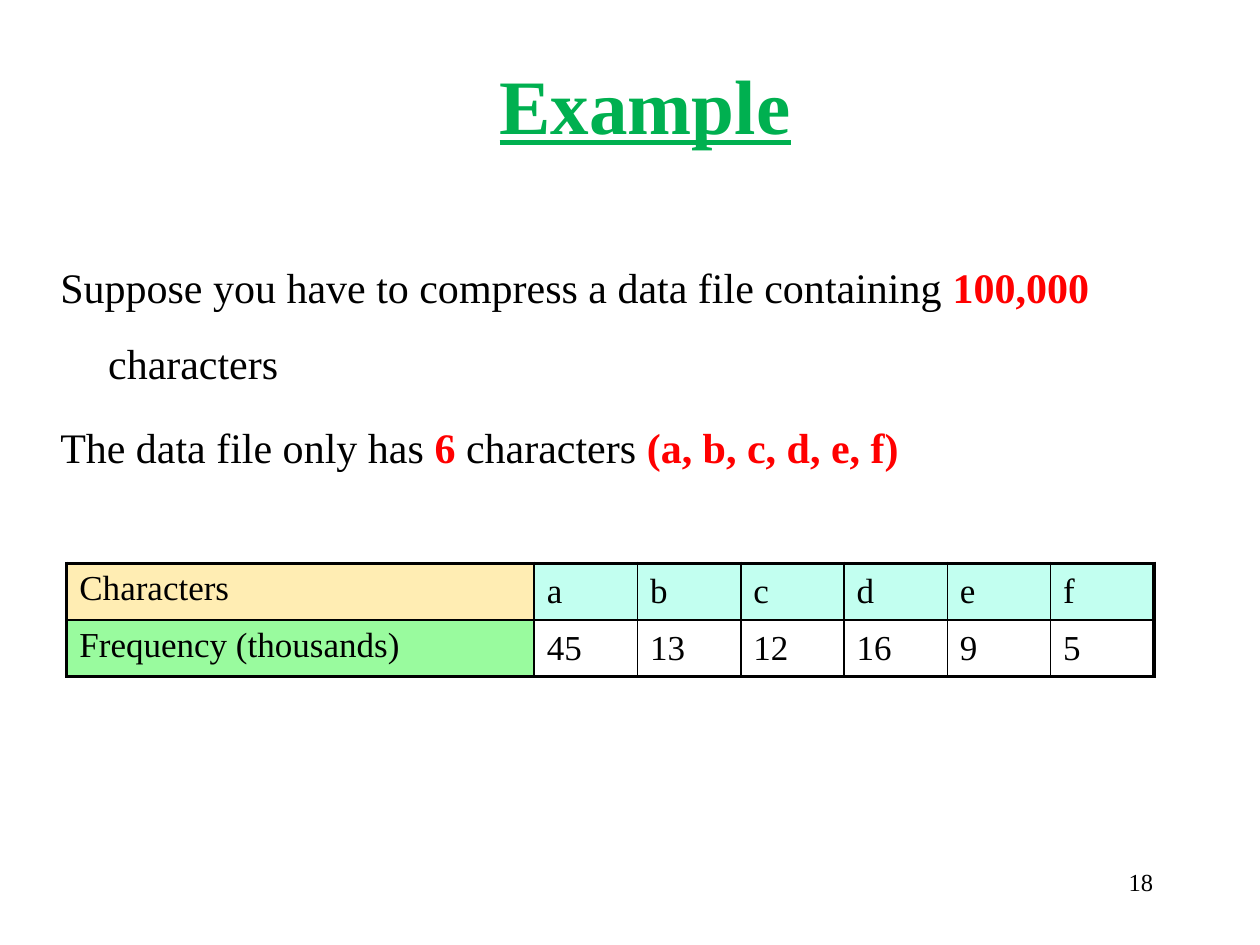
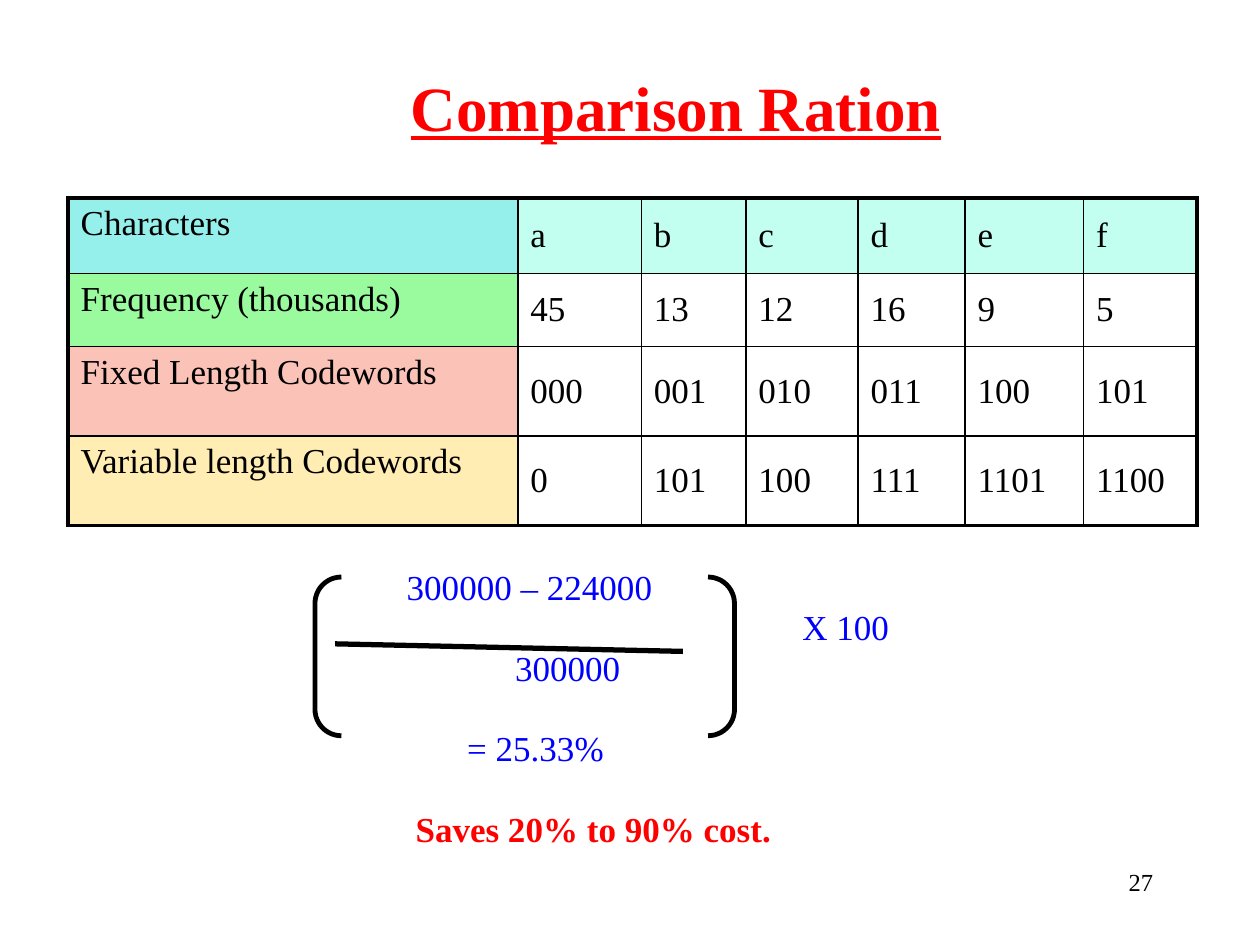
from lxml.etree import SubElement
from pptx import Presentation
from pptx.dml.color import RGBColor
from pptx.enum.shapes import MSO_CONNECTOR, MSO_SHAPE
from pptx.enum.text import MSO_ANCHOR, PP_ALIGN
from pptx.oxml.ns import qn
from pptx.util import Inches, Pt

FONT = "Times New Roman"
COLORS = {
    "black": "000000", "red": "FF0000", "green": "00B050", "blue": "0000FF",
    "aqua": "C2FFF0", "turquoise": "95EFEB", "mint": "99FB9E",
    "salmon": "FBC2B7", "cream": "FFEDB3",
}


def style_font(font, size, color, bold=False):
    font.name = FONT
    font.size = Pt(size)
    font.bold = bold
    font.color.rgb = RGBColor.from_string(COLORS[color])


def add_text(slide, position, text, size, color, bold=False, align=PP_ALIGN.LEFT):
    box = slide.shapes.add_textbox(*map(Inches, position))
    box.text_frame.word_wrap = True
    paragraph = box.text_frame.paragraphs[0]
    paragraph.text = text
    paragraph.alignment = align
    style_font(paragraph.font, size, color, bold)


presentation = Presentation()
presentation.slide_width = Inches(10)
presentation.slide_height = Inches(7.5)

frequency_rows = [
    ["Characters", "a", "b", "c", "d", "e", "f"],
    ["Frequency (thousands)", "45", "13", "12", "16", "9", "5"],
]
codeword_rows = [
    ["Fixed Length Codewords", "000", "001", "010", "011", "100", "101"],
    ["Variable length Codewords", "0", "101", "100", "111", "1101", "1100"],
]
slide_specs = [
    {
        "title": ("Example", 44, "green", (1.07, 0.08, 8.1, 1.48)),
        "number": "18",
        "table_at": (0.53, 4.47),
        "rows": frequency_rows,
        "widths": [3.71] + [0.82] * 6,
        "heights": [0.45, 0.45],
        "label_fills": ["cream", "mint"],
    },
    {
        "title": ("Comparison Ration", 36, "red", (0.7, 0.2, 9.33, 1.28)),
        "number": "27",
        "table_at": (0.54, 1.57),
        "rows": frequency_rows + codeword_rows,
        "widths": [3.57, 0.98, 0.83, 0.89, 0.85, 0.94, 0.9],
        "heights": [0.6, 0.58, 0.71, 0.71],
        "label_fills": ["turquoise", "mint", "salmon", "cream"],
    },
]

slides = []
for details in slide_specs:
    slide = presentation.slides.add_slide(presentation.slide_layouts[5])
    slides.append(slide)
    text, size, color, position = details["title"]
    title = slide.shapes.title
    title.left, title.top, title.width, title.height = map(Inches, position)
    title.text_frame.vertical_anchor = MSO_ANCHOR.MIDDLE
    paragraph = title.text_frame.paragraphs[0]
    paragraph.text = text
    paragraph.alignment = PP_ALIGN.CENTER
    style_font(paragraph.font, size, color, True)
    paragraph.font.underline = True
    add_text(slide, (7.17, 6.83, 2.08, 0.5), details["number"], 14, "black", align=PP_ALIGN.RIGHT)

    rows, widths, heights = details["rows"], details["widths"], details["heights"]
    frame = slide.shapes.add_table(
        len(rows), len(widths), *map(Inches, (*details["table_at"], sum(widths), sum(heights)))
    )
    table = frame.table
    table.first_row = False
    table.horz_banding = False
    for column, width in zip(table.columns, widths):
        column.width = Inches(width)
    last_row, last_column = len(rows) - 1, len(widths) - 1
    for row_index, values in enumerate(rows):
        table.rows[row_index].height = Inches(heights[row_index])
        for column_index, value in enumerate(values):
            cell = table.cell(row_index, column_index)
            cell.text = value
            style_font(cell.text_frame.paragraphs[0].font, 20, "black")
            cell.vertical_anchor = MSO_ANCHOR.MIDDLE if column_index else MSO_ANCHOR.TOP
            outer_edges = {
                "a:lnL": column_index == 0,
                "a:lnR": column_index == last_column,
                "a:lnT": row_index == 0,
                "a:lnB": row_index == last_row,
            }
            properties = cell._tc.get_or_add_tcPr()
            for edge, is_outer in outer_edges.items():
                line = SubElement(properties, qn(edge), w=str(Pt(2.25 if is_outer else 1)))
                line_fill = SubElement(line, qn("a:solidFill"))
                SubElement(line_fill, qn("a:srgbClr"), val=COLORS["black"])
            if column_index and row_index:
                cell.fill.background()
            else:
                fill = "aqua" if column_index else details["label_fills"][row_index]
                cell.fill.solid()
                cell.fill.fore_color.rgb = RGBColor.from_string(COLORS[fill])

example, comparison = slides

statements = [
    [("Suppose you have to compress a data file containing ", False),
     ("100,000", True), (" characters", False)],
    [("The data file only has ", False), ("6", True),
     (" characters ", False), ("(a, b, c, d, e, f)", True)],
]
body = example.shapes.add_textbox(Inches(0.38), Inches(1.83), Inches(9.48), Inches(2.3))
body.text_frame.word_wrap = True
for index, statement in enumerate(statements):
    paragraph = body.text_frame.add_paragraph() if index else body.text_frame.paragraphs[0]
    paragraph.line_spacing = 1.5
    if index:
        paragraph.space_before = Pt(4.8)
    indents = paragraph._p.get_or_add_pPr()
    indents.set("marL", str(Inches(0.38)))
    indents.set("indent", str(Inches(-0.38)))
    for text, highlighted in statement:
        run = paragraph.add_run()
        run.text = text
        style_font(run.font, 24, "red" if highlighted else "black", highlighted)

formula_lines = [
    (3.13, 0, "300000 – 224000", "blue", False),
    (6.27, 1, "X 100", "blue", False),
    (3.99, 2, "300000", "blue", False),
    (3.61, 4, "= 25.33%", "blue", False),
    (3.2, 6, "Saves 20% to 90% cost.", "red", True),
]
for left, step, text, color, bold in formula_lines:
    add_text(comparison, (left, 4.44 + 0.32 * step, 3.4, 0.41), text, 20, color, bold)

fraction_bar = comparison.shapes.add_connector(
    MSO_CONNECTOR.STRAIGHT, Inches(2.66), Inches(5.11), Inches(5.42), Inches(5.17)
)
SubElement(fraction_bar._element.spPr, qn("a:effectLst"))
brackets = comparison.shapes.add_shape(
    MSO_SHAPE.DOUBLE_BRACKET, Inches(2.5), Inches(4.58), Inches(3.33), Inches(1.26)
)
brackets.shadow.inherit = False
brackets.fill.background()
for shape, width in ((fraction_bar, 3), (brackets, 2.75)):
    shape.line.color.rgb = RGBColor.from_string(COLORS["black"])
    shape.line.width = Pt(width)

presentation.save("out.pptx")
